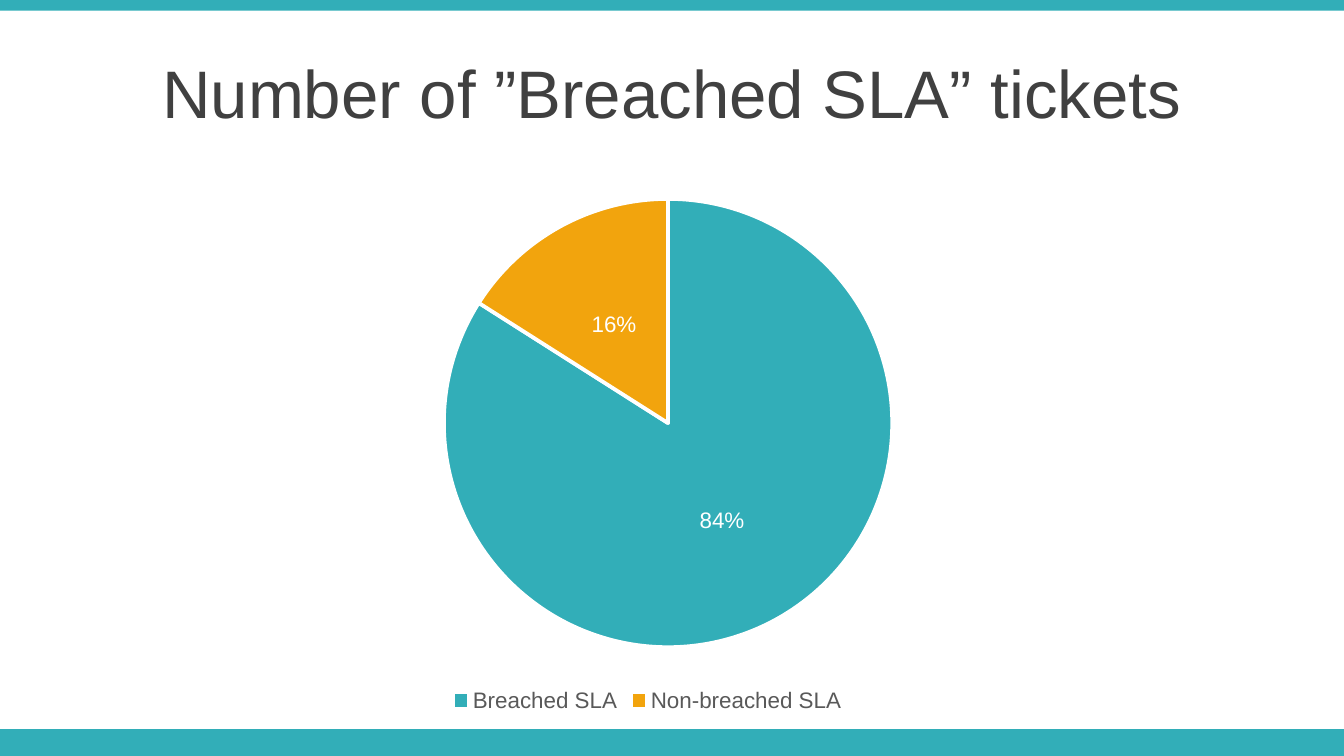
from typing import NamedTuple

from lxml import etree
from pptx import Presentation
from pptx.chart.data import CategoryChartData
from pptx.dml.color import RGBColor
from pptx.enum.chart import XL_CHART_TYPE, XL_LABEL_POSITION, XL_LEGEND_POSITION
from pptx.enum.shapes import MSO_SHAPE
from pptx.enum.text import MSO_ANCHOR, PP_ALIGN
from pptx.oxml.ns import qn
from pptx.util import Inches, Pt

RECT = MSO_SHAPE.RECTANGLE
PIE = XL_CHART_TYPE.PIE
MID, CENTER = MSO_ANCHOR.MIDDLE, PP_ALIGN.CENTER
BOTTOM, INSIDE = XL_LEGEND_POSITION.BOTTOM, XL_LABEL_POSITION.CENTER

WIDTH = 10
HEIGHT = WIDTH * 9 / 16
FONT = "Arial"
TEAL, ORANGE, WHITE = "32AEB8", "F2A40D", "FFFFFF"
DARK, GRAY = "404040", "595959"


class Band(NamedTuple):
    top: float
    height: float


class Slice(NamedTuple):
    name: str
    value: int
    color: str


BANDS = [Band(HEIGHT - 0.2, 0.2), Band(0, 0.08)]
SLICES = [Slice("Breached SLA", 84, TEAL), Slice("Non-breached SLA", 16, ORANGE)]
PLOT = {"x": 0.05, "y": 0.04, "w": 0.95, "h": 0.83}


def rgb(color: str) -> RGBColor:
    return RGBColor.from_string(color)


def style(font, size: float, color: str) -> None:
    font.name, font.size = FONT, Pt(size)
    font.color.rgb = rgb(color)


def add_band(slide, band: Band) -> None:
    shape = slide.shapes.add_shape(
        RECT, 0, Inches(band.top), Inches(WIDTH), Inches(band.height))
    shape.shadow.inherit = False
    shape.fill.solid()
    shape.fill.fore_color.rgb = rgb(TEAL)
    shape.line.fill.background()


def add_text(slide, text: str, *, left: float, top: float, width: float,
             height: float, size: float, color: str) -> None:
    box = slide.shapes.add_textbox(
        Inches(left), Inches(top), Inches(width), Inches(height))
    frame = box.text_frame
    frame.word_wrap = True
    frame.vertical_anchor = MID
    para = frame.paragraphs[0]
    para.alignment = CENTER
    run = para.add_run()
    run.text = text
    style(run.font, size, color)


def set_plot(chart, plot: dict[str, float]) -> None:
    """Fix the inner plot area as shares of the chart."""
    area = chart._chartSpace.chart.plotArea
    for old in area.findall(qn("c:layout")):
        area.remove(old)
    layout = etree.Element(qn("c:layout"))
    manual = etree.SubElement(layout, qn("c:manualLayout"))
    marks = {"layoutTarget": "inner", "xMode": "edge", "yMode": "edge", **plot}
    for tag, value in marks.items():
        etree.SubElement(manual, qn(f"c:{tag}")).set("val", str(value))
    area.insert(0, layout)


def add_pie(slide, slices: list[Slice]) -> None:
    data = CategoryChartData()
    data.categories = [part.name for part in slices]
    data.add_series("Series 1", [part.value for part in slices])
    chart = slide.shapes.add_chart(
        PIE, Inches(1.8), Inches(1.32), Inches(6.04), Inches(4.02), data).chart
    style(chart.font, 10, "000000")
    chart.has_title = False
    set_plot(chart, PLOT)

    # Legend
    chart.has_legend = True
    chart.legend.position = BOTTOM
    chart.legend.include_in_layout = False
    style(chart.legend.font, 12, GRAY)

    # Slices
    plot = chart.plots[0]
    plot.vary_by_categories = True
    for i, part in enumerate(slices):
        form = plot.series[0].points[i].format
        form.fill.solid()
        form.fill.fore_color.rgb = rgb(part.color)
        form.line.color.rgb = rgb(WHITE)
        form.line.width = Pt(2)

    # Percent labels
    labels = plot.series[0].data_labels
    labels.show_percentage = True
    labels.show_value = False
    labels.number_format = "0%"
    labels.number_format_is_linked = False
    labels.position = INSIDE
    style(labels.font, 12, WHITE)


def main() -> None:
    deck = Presentation()
    deck.slide_width, deck.slide_height = Inches(WIDTH), Inches(HEIGHT)
    slide = deck.slides.add_slide(deck.slide_layouts[6])

    # Bands, title and chart
    for band in BANDS:
        add_band(slide, band)
    add_text(slide, "Number of ”Breached SLA” tickets", left=0, top=0.37,
             width=WIDTH, height=0.63, size=36, color=DARK)
    add_pie(slide, SLICES)
    deck.save("out.pptx")


if __name__ == "__main__":
    main()
